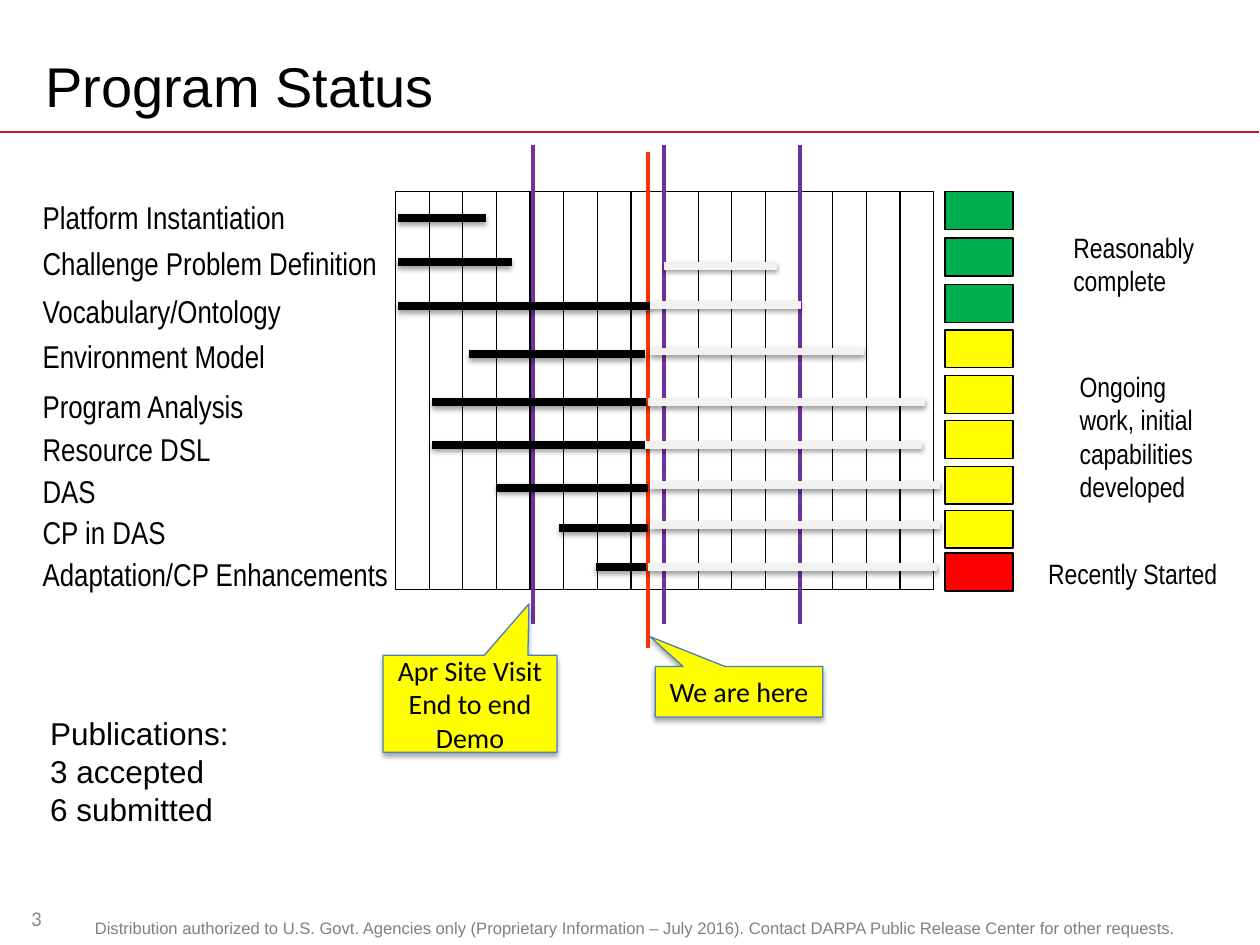
from lxml.etree import SubElement
from pptx import Presentation
from pptx.dml.color import RGBColor
from pptx.enum.shapes import MSO_CONNECTOR, MSO_SHAPE
from pptx.enum.text import MSO_ANCHOR, PP_ALIGN
from pptx.oxml.ns import qn
from pptx.util import Inches, Pt

BLACK = RGBColor(0x00, 0x00, 0x00)
RULE_RED = RGBColor(0xCE, 0x11, 0x26)
FOOTER_GRAY = RGBColor(0x80, 0x80, 0x80)
NUMBER_GRAY = RGBColor(0x89, 0x89, 0x89)
PURPLE = RGBColor(0x70, 0x30, 0xA0)
ORANGE = RGBColor(0xFF, 0x33, 0x00)
GREEN = RGBColor(0x00, 0xB0, 0x50)
YELLOW = RGBColor(0xFF, 0xFF, 0x00)
RED = RGBColor(0xFF, 0x00, 0x00)
PALE = RGBColor(0xF2, 0xF2, 0xF2)
BLUE = RGBColor(0x4B, 0x7E, 0xBC)

TITLE = "Program Status"
FOOTER = ("Distribution authorized to U.S. Govt. Agencies only (Proprietary Information – "
          "July 2016). Contact DARPA Public Release Center for other requests.")
PUBLICATIONS = ["Publications:", "3 accepted", "6 submitted"]

# label, label top, status top, status colour, done (y, start, end), planned (y, start, end)
TASKS = [
    ("Platform Instantiation", 1.56, 1.52, GREEN, (1.73, 3.16, 3.86), None),
    ("Challenge Problem Definition", 1.92, 1.89, GREEN, (2.08, 3.16, 4.06), (2.11, 5.27, 6.17)),
    ("Vocabulary/Ontology", 2.3, 2.26, GREEN, (2.43, 3.16, 5.16), (2.42, 5.16, 6.36)),
    ("Environment Model", 2.66, 2.62, YELLOW, (2.81, 3.72, 5.12), (2.79, 5.16, 6.86)),
    ("Program Analysis", 3.06, 2.98, YELLOW, (3.19, 3.43, 5.13), (3.19, 5.14, 7.34)),
    ("Resource DSL", 3.4, 3.34, YELLOW, (3.53, 3.43, 5.13), (3.53, 5.12, 7.32)),
    ("DAS", 3.73, 3.7, YELLOW, (3.87, 3.94, 5.14), (3.85, 5.16, 7.46)),
    ("CP in DAS", 4.06, 4.05, YELLOW, (4.19, 4.44, 5.14), (4.17, 5.16, 7.46)),
    ("Adaptation/CP Enhancements", 4.39, 4.39, RED, (4.5, 4.73, 5.13), (4.5, 5.14, 7.44)),
]
STATUS_NOTES = [
    ("Reasonably complete", (8.42, 1.78, 1.25, 0.64)),
    ("Ongoing work, initial capabilities developed", (8.47, 2.88, 1.25, 1.18)),
    ("Recently Started", (8.22, 4.37, 1.76, 0.37)),
]
# x, top, bottom, colour, width
MILESTONES = [(x, 1.15, 4.95, PURPLE, 2) for x in (4.23, 5.27, 6.35)]
MILESTONES.append((5.14, 1.21, 5.14, ORANGE, 2.25))
# text, box, pointer position
CALLOUTS = [
    ("We are here", (5.2, 5.29, 1.33, 0.4), (-0.531, -1.093)),
    ("Apr Site Visit End to end Demo", (3.04, 5.2, 1.38, 0.77), (0.339, -1.028)),
]
GRID_LEFT, GRID_TOP, GRID_WIDTH, GRID_HEIGHT = 3.14, 1.52, 4.27, 3.16
QUARTERS, PARTS = 4, 4

prs = Presentation()
prs.slide_width, prs.slide_height = Inches(10), Inches(7.5)
s = prs.slides.add_slide(prs.slide_layouts[6])


def set_effects(sp, shadow=None):
    """Replace the theme effects by none, or by a downward (alpha %, blur pt, distance pt) shadow."""
    effects = SubElement(sp._element.spPr, qn("a:effectLst"))
    if shadow:
        alpha, blur, dist = shadow
        outer = SubElement(effects, qn("a:outerShdw"), blurRad=str(Pt(blur)),
                           dist=str(Pt(dist)), dir="5400000", rotWithShape="0")
        color = SubElement(outer, qn("a:srgbClr"), val="000000")
        SubElement(color, qn("a:alpha"), val=str(alpha * 1000))


def add_line(x1, y1, x2, y2, color, width, shadow=None):
    line = s.shapes.add_connector(MSO_CONNECTOR.STRAIGHT, *map(Inches, (x1, y1, x2, y2)))
    line.line.color.rgb = color
    line.line.width = Pt(width)
    set_effects(line, shadow)


def add_box(box, fill=None, line=BLACK, kind=MSO_SHAPE.RECTANGLE, shadow=None):
    sp = s.shapes.add_shape(kind, *map(Inches, box))
    if fill is None:
        sp.fill.background()
    else:
        sp.fill.solid()
        sp.fill.fore_color.rgb = fill
    sp.line.color.rgb = line
    sp.line.width = Pt(0.75)
    set_effects(sp, shadow)
    return sp


def write(sp, lines, size, font, color=BLACK, align=PP_ALIGN.LEFT,
          anchor=MSO_ANCHOR.TOP, spacing=None, wrap=True):
    tf = sp.text_frame
    tf.word_wrap = wrap
    tf.vertical_anchor = anchor
    for i, text in enumerate(lines):
        p = tf.add_paragraph() if i else tf.paragraphs[0]
        p.text = text
        p.alignment = align
        p.line_spacing = spacing
        p.font.size = Pt(size)
        p.font.name = font
        p.font.color.rgb = color


def add_text(box, lines, *args, **style):
    write(s.shapes.add_textbox(*map(Inches, box)), lines, *args, **style)


add_line(0, 1.05, 9.99, 1.05, RULE_RED, 1)
add_text((0.58, 7.27, 8.92, 0.26), [FOOTER], 9.5, "Arial", FOOTER_GRAY,
         PP_ALIGN.CENTER, spacing=0.8, wrap=False)
add_text((0.26, 0.3, 9, 0.75), [TITLE], 32, "Arial", anchor=MSO_ANCHOR.MIDDLE)
add_text((0, 7.09, 0.58, 0.4), ["3"], 12, "Calibri", NUMBER_GRAY,
         PP_ALIGN.CENTER, MSO_ANCHOR.MIDDLE)

quarter_width = GRID_WIDTH / QUARTERS
part_width = quarter_width / PARTS
for quarter in range(QUARTERS):
    left = GRID_LEFT + quarter * quarter_width
    add_box((left, GRID_TOP, quarter_width, GRID_HEIGHT))
    for part in range(PARTS):
        add_box((left + part * part_width, GRID_TOP, part_width, GRID_HEIGHT))

for x, top, bottom, color, width in MILESTONES:
    add_line(x, top, x, bottom, color, width)

for label, label_top, status_top, status, _, _ in TASKS:
    add_text((0.24, label_top, 3.14, 0.37), [label], 18, "Arial Narrow", spacing=0.9)
    add_box((7.5, status_top, 0.54, 0.3), status)
for note, box in STATUS_NOTES:
    add_text(box, [note], 16, "Arial Narrow")
add_text((0.3, 5.62, 3.56, 1.01), PUBLICATIONS, 18, "Arial")

for column, color in ((4, BLACK), (5, PALE)):
    for task in TASKS:
        if task[column]:
            y, start, end = task[column]
            add_line(start, y, end, y, color, 4.5, shadow=(38, 3.1, 1.6))

for text, box, pointer in CALLOUTS:
    sp = add_box(box, YELLOW, BLUE, MSO_SHAPE.RECTANGULAR_CALLOUT, shadow=(35, 3.1, 1.8))
    sp.adjustments[0], sp.adjustments[1] = pointer
    write(sp, [text], 16, "Calibri", align=PP_ALIGN.CENTER, anchor=MSO_ANCHOR.MIDDLE)

prs.save("out.pptx")
